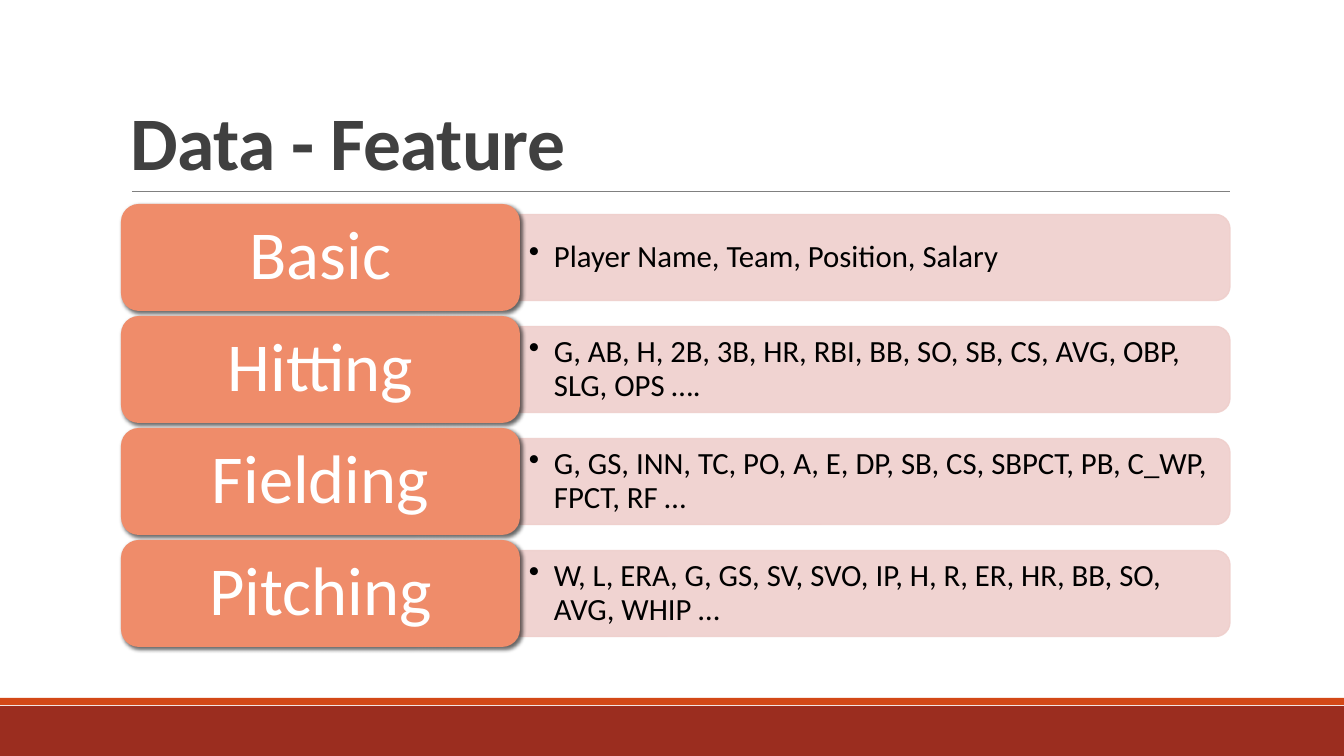
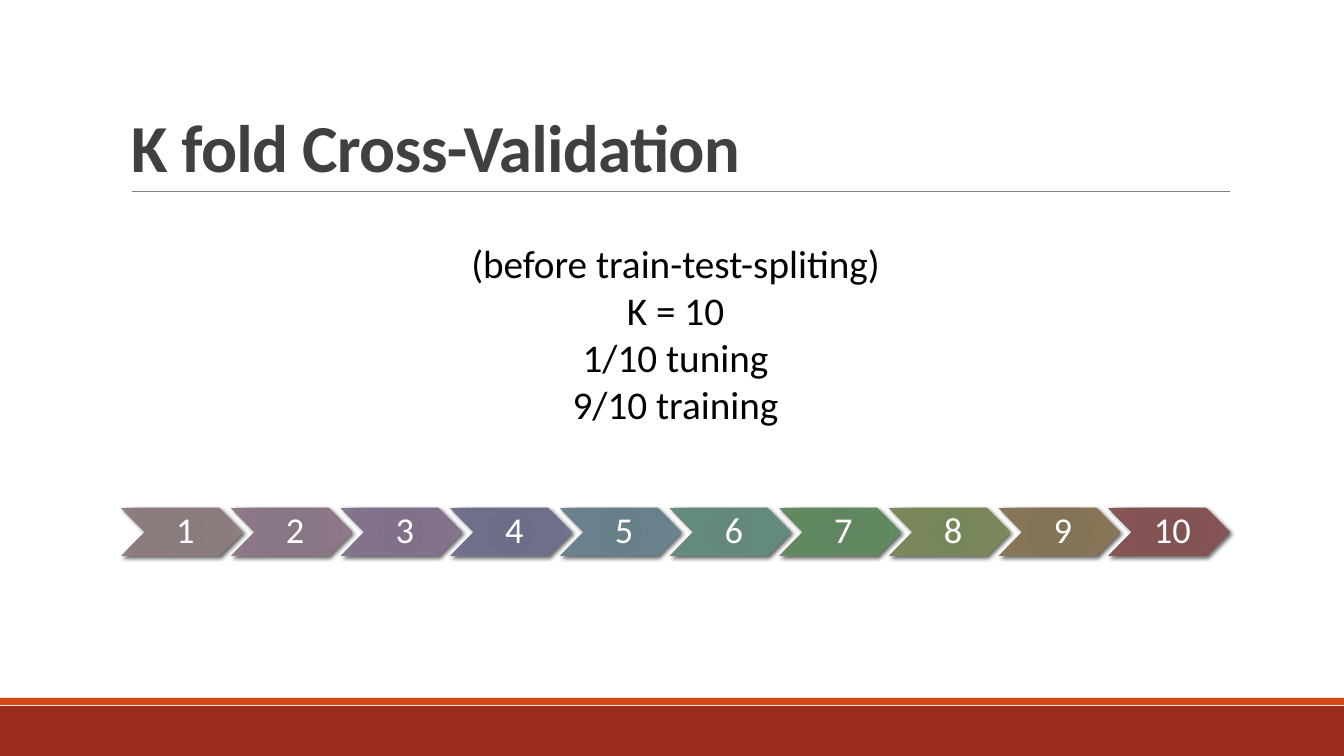
import pptx
import pptx.dml.color
import pptx.enum.shapes
import pptx.enum.text
import pptx.oxml
import pptx.oxml.ns
import pptx.util

SCALE = 914400 / 100.8
SLIDE_W, SLIDE_H = 1344, 756
FONT = "Calibri"
COLORS = {
    "band": "9B2D1F", "strip": "D34817", "rule": "808080", "title": "404040",
    "label": "EF8C6A", "bar": "EFCFCC", "dark": "000000", "light": "FFFFFF",
}
FEATURES = [
    ("Basic", "Player Name, Team, Position, Salary"),
    ("Hitting", "G, AB, H, 2B, 3B, HR, RBI, BB, SO, SB, CS, AVG, OBP, SLG, OPS ...."
     .replace("....", "….")),
    ("Fielding", "G, GS, INN, TC, PO, A, E, DP, SB, CS, SBPCT, PB, C_WP, FPCT, RF …"),
    ("Pitching", "W, L, ERA, G, GS, SV, SVO, IP, H, R, ER, HR, BB, SO, AVG, WHIP …"),
]
FOLD_NOTES = ["(before train-test-spliting)", "K = 10", "1/10 tuning", "9/10 training"]
STOPS = (0, 34, 70, 100)
FOLD_COLORS = [
    ("89797A", "8A7B7C", "8C7C7D", "928384"),
    ("887483", "897684", "8C7786", "917F8C"),
    ("7E7088", "807189", "82728B", "877A90"),
    ("6B6C88", "6C6E89", "6D6F8B", "75768F"),
    ("667E87", "677F88", "68818B", "70868F"),
    ("618679", "63877A", "648A7C", "6B8D81"),
    ("5E855D", "60865F", "61895F", "688C67"),
    ("768459", "77855B", "79875B", "7E8A63"),
    ("837355", "837457", "867657", "897A5F"),
    ("825151", "825353", "855353", "875B5B"),
]
LEFT, RIGHT = 121, 1230
ROW_TOP, ROW_PITCH, LABEL_W, LABEL_H, BAR_H = 204, 112, 399, 107, 86
FOLD_TOP, FOLD_W, FOLD_H = 508, 122, 48

SHAPE = pptx.enum.shapes.MSO_SHAPE
ALIGN = pptx.enum.text.PP_ALIGN
ANCHOR = pptx.enum.text.MSO_ANCHOR
NS = pptx.oxml.ns.nsdecls("a")


def px(length):
    return pptx.util.Emu(round(length * SCALE))


def rgb(name):
    return pptx.dml.color.RGBColor.from_string(COLORS[name])


def add_xml(parent, xml):
    parent.append(pptx.oxml.parse_xml(xml))


def add_block(slide, kind, box, color):
    block = slide.shapes.add_shape(kind, *map(px, box))
    block.shadow.inherit = False
    block.fill.solid()
    block.fill.fore_color.rgb = rgb(color)
    block.line.fill.background()
    return block


def add_shadow(block):
    effects = block.element.spPr.find(pptx.oxml.ns.qn("a:effectLst"))
    add_xml(effects, f'<a:outerShdw {NS} blurRad="38100" dist="25400" dir="2700000" '
            'algn="ctr" rotWithShape="0"><a:srgbClr val="000000">'
            '<a:alpha val="60000"/></a:srgbClr></a:outerShdw>')


def make_translucent(block):
    for color in block.element.spPr.iter(pptx.oxml.ns.qn("a:srgbClr")):
        add_xml(color, f'<a:alpha {NS} val="90000"/>')


def fill_radial(block, colors):
    block.fill.gradient()
    gradient = block.element.spPr.find(pptx.oxml.ns.qn("a:gradFill"))
    gradient.clear()
    stops = "".join(f'<a:gs pos="{stop * 1000}"><a:srgbClr val="{color}"/></a:gs>'
                    for stop, color in zip(STOPS, colors))
    add_xml(gradient, f"<a:gsLst {NS}>{stops}</a:gsLst>")
    add_xml(gradient, f'<a:path {NS} path="circle"><a:fillToRect l="100000" t="100000" '
            'r="100000" b="100000"/></a:path>')


def write(holder, lines, size, color, align=ALIGN.CENTER, anchor=ANCHOR.MIDDLE,
          insets=(10, 5, 10, 5), spacing=0.9, bold=False):
    frame = holder.text_frame
    frame.word_wrap = True
    frame.vertical_anchor = anchor
    (frame.margin_left, frame.margin_top,
     frame.margin_right, frame.margin_bottom) = map(px, insets)
    frame.text = "\n".join(lines)
    for paragraph in frame.paragraphs:
        paragraph.alignment = align
        paragraph.line_spacing = spacing
        for run in paragraph.runs:
            run.font.name = FONT
            run.font.size = pptx.util.Pt(size)
            run.font.bold = bold
            run.font.color.rgb = rgb(color)
    return frame


def add_text(slide, box, lines, size, color, **style):
    return write(slide.shapes.add_textbox(*map(px, box)), lines, size, color, **style)


def add_titled_slide(deck, title, size):
    slide = deck.slides.add_slide(deck.slide_layouts[6])
    add_block(slide, SHAPE.RECTANGLE, (0, 706, SLIDE_W, 50), "band")
    add_block(slide, SHAPE.RECTANGLE, (0, 698, SLIDE_W, 7), "strip")
    rule = slide.shapes.add_connector(pptx.enum.shapes.MSO_CONNECTOR.STRAIGHT,
                                      px(132), px(191), px(RIGHT), px(191))
    rule.line.color.rgb = rgb("rule")
    rule.line.width = pptx.util.Pt(0.5)
    add_xml(rule.element.spPr, f"<a:effectLst {NS}/>")
    frame = add_text(slide, (LEFT, 31, RIGHT - LEFT, 160), [title], size, "title",
                     align=ALIGN.LEFT, anchor=ANCHOR.BOTTOM, spacing=0.85, bold=True)
    frame.paragraphs[0].runs[0].font._element.set("spc", "-50")
    return slide


def add_feature_row(slide, top, name, columns):
    bar_left = LEFT + LABEL_W
    bar_w = RIGHT - bar_left
    middle = top + LABEL_H / 2
    bar = add_block(slide, SHAPE.ROUND_2_SAME_RECTANGLE,
                    (bar_left + (bar_w - BAR_H) / 2, middle - bar_w / 2, BAR_H, bar_w), "bar")
    bar.rotation = 90
    bar.line.color.rgb = rgb("bar")
    bar.line.width = pptx.util.Pt(1)
    make_translucent(bar)
    frame = add_text(slide, (bar_left, middle - 38, bar_w - 4, 76), [columns], 22, "dark",
                     align=ALIGN.LEFT, insets=(9, 5, 9, 5))
    bullet = frame.paragraphs[0]._p.get_or_add_pPr()
    bullet.set("marL", str(px(25)))
    bullet.set("indent", str(px(-25)))
    add_xml(bullet, f'<a:buChar {NS} char="•"/>')
    label = add_block(slide, SHAPE.ROUNDED_RECTANGLE, (LEFT, top, LABEL_W, LABEL_H), "label")
    add_shadow(label)
    write(label, [name], 49, "light", insets=(20, 10, 20, 10))


def build_features(deck):
    slide = add_titled_slide(deck, "Data - Feature", 54)
    for row, (name, columns) in enumerate(FEATURES):
        add_feature_row(slide, ROW_TOP + row * ROW_PITCH, name, columns)


def build_folds(deck):
    slide = add_titled_slide(deck, "K fold Cross-Validation", 48)
    pitch = (RIGHT - LEFT - FOLD_W) / (len(FOLD_COLORS) - 1)
    for index, colors in enumerate(FOLD_COLORS):
        fold = add_block(slide, SHAPE.CHEVRON,
                         (LEFT + index * pitch, FOLD_TOP, FOLD_W, FOLD_H), "label")
        fill_radial(fold, colors)
        add_shadow(fold)
        write(fold, [str(index + 1)], 26, "light", insets=(11, 4, 4, 4))
    add_text(slide, (384, 234, 583, 201), FOLD_NOTES, 28, "dark",
             anchor=ANCHOR.TOP, spacing=1.0)


def main():
    deck = pptx.Presentation()
    deck.slide_width, deck.slide_height = px(SLIDE_W), px(SLIDE_H)
    build_features(deck)
    build_folds(deck)
    deck.save("out.pptx")


if __name__ == "__main__":
    main()
